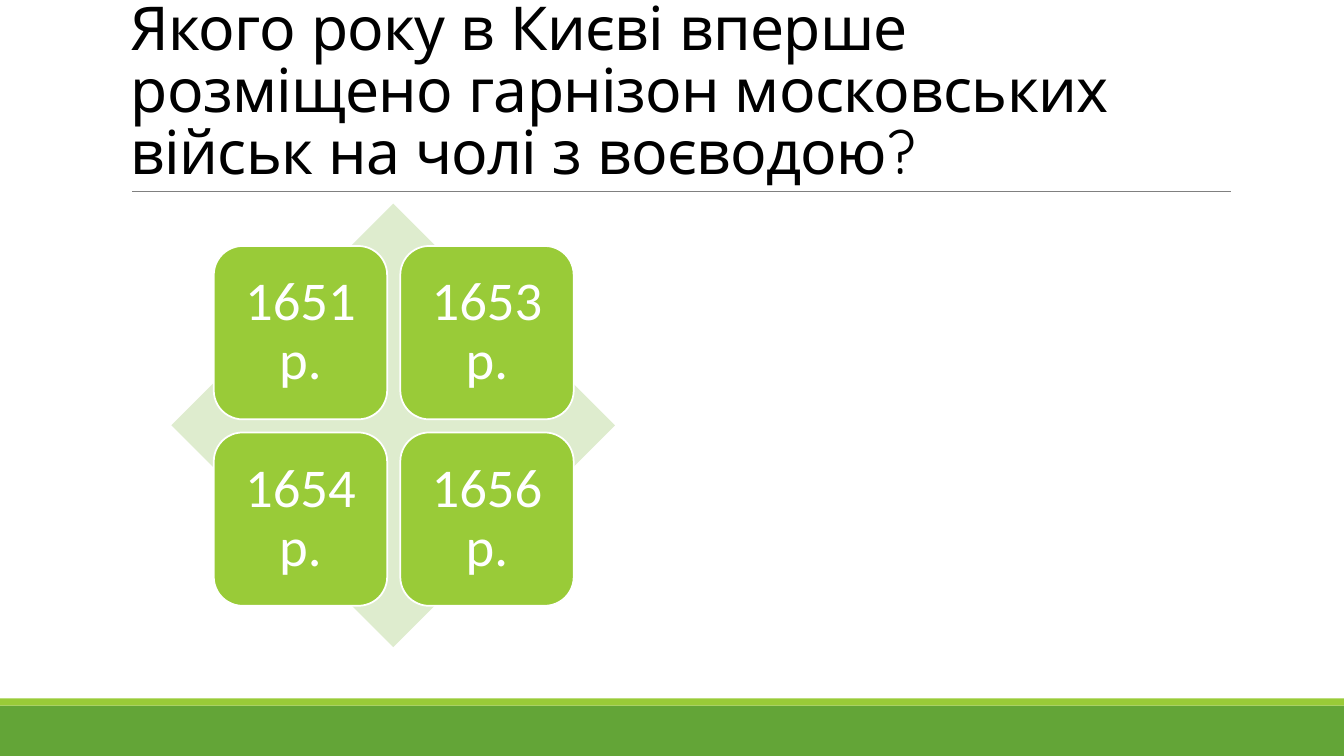
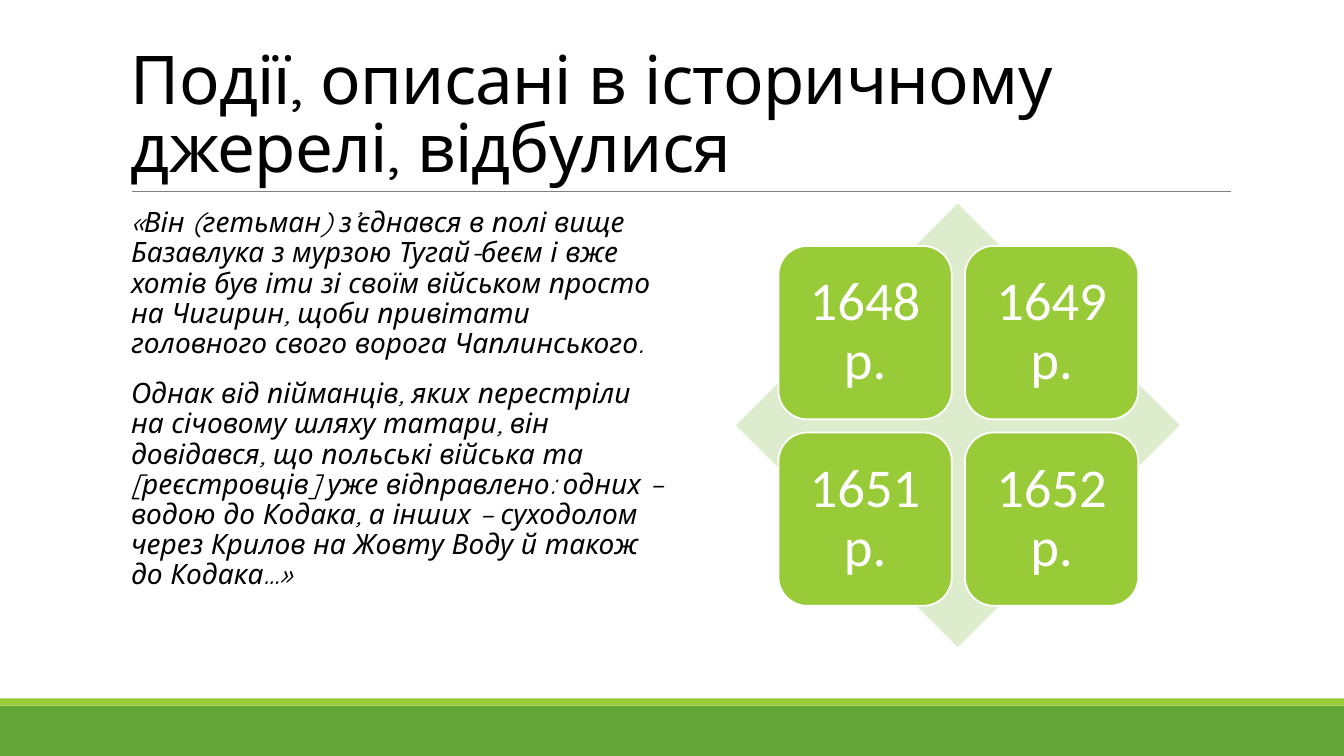
from pptx import Presentation
from pptx.dml.color import RGBColor
from pptx.enum.shapes import MSO_CONNECTOR, MSO_SHAPE
from pptx.enum.text import MSO_ANCHOR, PP_ALIGN
from pptx.oxml.ns import qn
from pptx.util import Inches, Pt

COLORS = {
    "green": "63A537",
    "lime": "99CB38",
    "pale": "DEECCE",
    "rule": "808080",
    "white": "FFFFFF",
    "black": "000000",
}


class Deck:
    text_font = "Quicksand"
    label_font = "Calibri"

    def __init__(self):
        self.prs = Presentation()
        self.prs.slide_width = Inches(13.33)
        self.prs.slide_height = Inches(7.5)
        self.s = None

    def color(self, name):
        return RGBColor.from_string(COLORS[name])

    def slide(self, title, size):
        self.s = self.prs.slides.add_slide(self.prs.slide_layouts[6])
        self.shape(MSO_SHAPE.RECTANGLE, 0, 7, 13.33, 0.5, "green")
        self.shape(MSO_SHAPE.RECTANGLE, 0, 6.93, 13.33, 0.07, "lime")
        self.rule(1.31, 12.21, 1.9)
        self.title(title, size)

    def shape(self, kind, x, y, w, h, fill):
        sp = self.s.shapes.add_shape(kind, Inches(x), Inches(y), Inches(w), Inches(h))
        sp.shadow.inherit = False
        sp.fill.solid()
        sp.fill.fore_color.rgb = self.color(fill)
        sp.line.fill.background()
        return sp

    def rule(self, x1, x2, y):
        line = self.s.shapes.add_connector(
            MSO_CONNECTOR.STRAIGHT, Inches(x1), Inches(y), Inches(x2), Inches(y))
        line.line.color.rgb = self.color("rule")
        line.line.width = Pt(0.5)
        pr = line._element.spPr
        pr.append(pr.makeelement(qn("a:effectLst"), {}))

    def frame(self, tf, anchor, inset_x, inset_y):
        tf.word_wrap = True
        tf.vertical_anchor = anchor
        tf.margin_left = tf.margin_right = Inches(inset_x)
        tf.margin_top = tf.margin_bottom = Inches(inset_y)
        return tf

    def box(self, x, y, w, h, anchor, inset_x):
        sp = self.s.shapes.add_textbox(Inches(x), Inches(y), Inches(w), Inches(h))
        return self.frame(sp.text_frame, anchor, inset_x, 0.05)

    def run(self, p, text, size, font, color, italic=False):
        r = p.add_run()
        r.text = text
        r.font.size = Pt(size)
        r.font.name = font
        r.font.italic = italic
        r.font.color.rgb = self.color(color)
        return r

    def title(self, text, size):
        p = self.box(1.2, 0.31, 11, 1.59, MSO_ANCHOR.BOTTOM, 0.1).paragraphs[0]
        p.line_spacing = 0.85
        r = self.run(p, text, size, self.text_font, "black")
        r._r.get_or_add_rPr().set("spc", "-50")

    def quote(self, paragraphs):
        tf = self.box(1.3, 2.02, 5.3, 4.4, MSO_ANCHOR.TOP, 0)
        for i, text in enumerate(paragraphs):
            p = tf.add_paragraph() if i else tf.paragraphs[0]
            p.line_spacing = 0.9
            p.space_before = Pt(12 if i else 0)
            p.space_after = Pt(2)
            self.run(p, text, 20, self.text_font, "black", italic=True)

    def matrix(self, left, years):
        top, side, tile, step, inset = 2.02, 4.4, 1.72, 1.85, 0.42
        self.shape(MSO_SHAPE.DIAMOND, left, top, side, side, "pale")
        for i, year in enumerate(years):
            row, col = divmod(i, 2)
            sp = self.shape(MSO_SHAPE.ROUNDED_RECTANGLE, left + inset + col * step,
                            top + inset + row * step, tile, tile, "lime")
            sp.line.color.rgb = self.color("white")
            sp.line.width = Pt(1.25)
            p = self.frame(sp.text_frame, MSO_ANCHOR.MIDDLE, 0.16, 0.16).paragraphs[0]
            p.alignment = PP_ALIGN.CENTER
            p.line_spacing = 0.9
            self.run(p, f"{year} р.", 39, self.label_font, "white")


def main():
    deck = Deck()
    deck.slide("Якого року в Києві вперше розміщено гарнізон московських військ "
               "на чолі з воєводою?", 43.2)
    deck.matrix(1.7, [1651, 1653, 1654, 1656])

    deck.slide("Події, описані в історичному джерелі, відбулися", 48)
    deck.quote([
        "«Він (гетьман) з’єднався в полі вище Базавлука з мурзою Тугай-беєм "
        "і вже хотів був іти зі своїм військом просто на Чигирин, щоби привітати "
        "головного свого ворога Чаплинського.",
        "Однак від пійманців, яких перестріли на січовому шляху татари, він "
        "довідався, що польські війська та [реєстровців] уже відправлено: одних – "
        "водою до Кодака, а інших – суходолом через Крилов на Жовту Воду й також "
        "до Кодака…»",
    ])
    deck.matrix(7.3, [1648, 1649, 1651, 1652])
    deck.prs.save("out.pptx")


if __name__ == "__main__":
    main()
